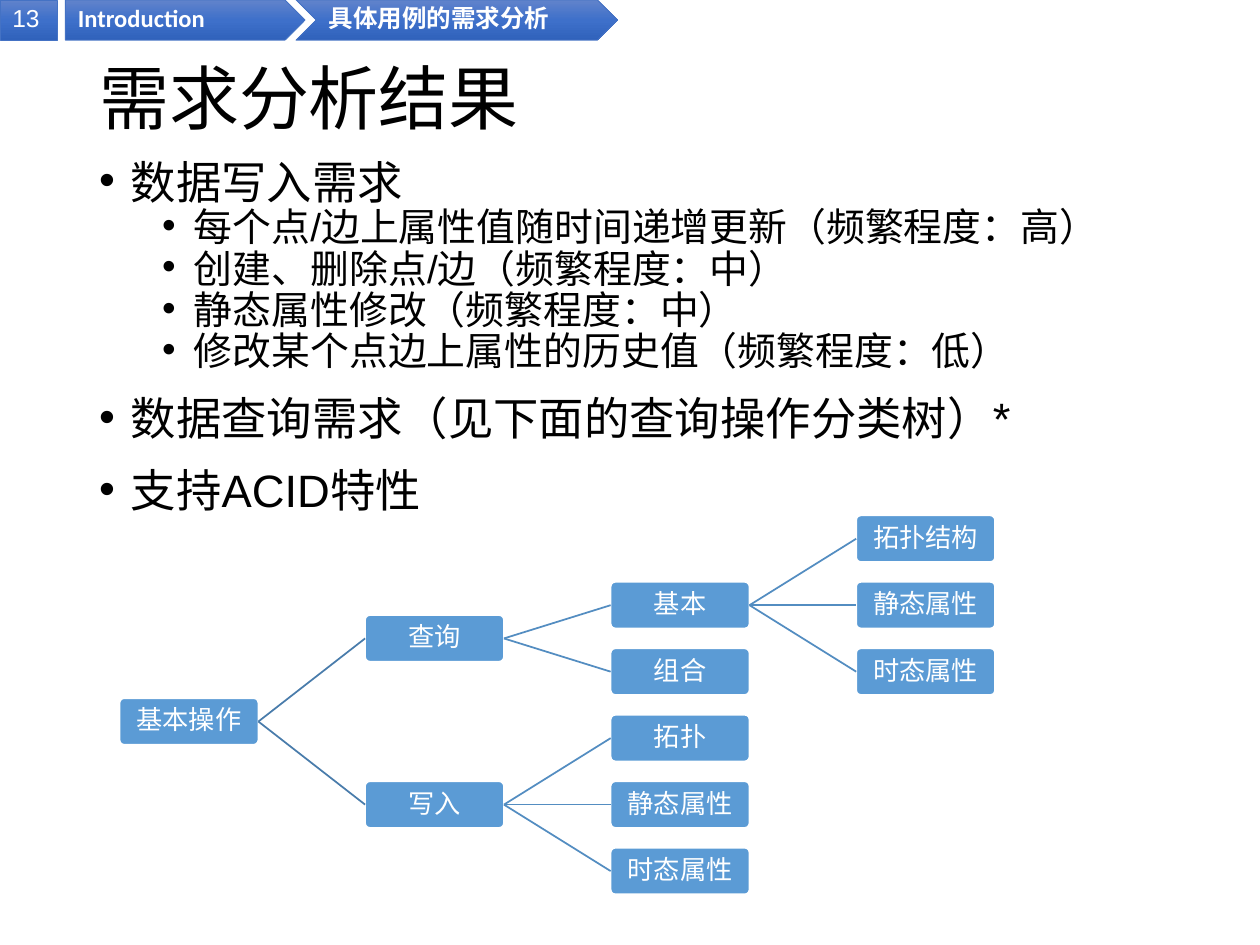
from copy import deepcopy

from lxml import etree
from pptx import Presentation
from pptx import util as u
from pptx.dml.color import RGBColor
from pptx.enum import shapes, text
from pptx.oxml.ns import qn

KIND = shapes.MSO_SHAPE
MID = text.MSO_ANCHOR.MIDDLE
LEFT, CENTER = text.PP_ALIGN.LEFT, text.PP_ALIGN.CENTER

TABS = [  # shape, left, width, label, font, size, bold
    (KIND.RECTANGLE, 0, 1.15, "13", "Arial", 14, False),
    (KIND.PENTAGON, 1.32, 4.83, "Introduction", "Calibri", 14, True),
    (KIND.CHEVRON, 5.97, 6.48, "具体用例的需求分析", "Calibri", 14, True),
]
POINTS = [  # level, wording
    (0, "数据写入需求"),
    (1, "每个点/边上属性值随时间递增更新（频繁程度：高）"),
    (1, "创建、删除点/边（频繁程度：中）"),
    (1, "静态属性修改（频繁程度：中）"),
    (1, "修改某个点边上属性的历史值（频繁程度：低）"),
    (0, "数据查询需求（见下面的查询操作分类树）*"),
    (0, "支持ACID特性"),
]
# A node is (label, children); a leaf is (label, row).
TREE = ("基本操作", [
    ("查询", [
        ("基本", [("拓扑结构", 0), ("静态属性", 1), ("时态属性", 2)]),
        ("组合", 2),
    ]),
    ("写入", [("拓扑", 3), ("静态属性", 4), ("时态属性", 5)]),
])


def color(code):
    return RGBColor.from_string(code)


def write(para, words, font, size, code, bold=False):
    run = para.add_run()
    run.text = words
    run.font.name = font
    run.font.size = u.Pt(size)
    run.font.bold = bold
    run.font.color.rgb = color(code)


def shade(shape, codes):
    """Fill from top to bottom with evenly spaced colours."""
    shape.fill.gradient()
    shape.fill.gradient_angle = 270
    stops = shape._element.spPr.find(qn("a:gradFill")).find(qn("a:gsLst"))
    stops.insert(1, deepcopy(stops[0]))
    for i, (stop, code) in enumerate(zip(shape.fill.gradient_stops, codes)):
        stop.position = i / (len(codes) - 1)
        stop.color.rgb = color(code)


def banner(slide, left, top, high):
    for kind, x, wide, words, font, size, bold in TABS:
        tab = slide.shapes.add_shape(
            kind, u.Cm(left + x), u.Cm(top), u.Cm(wide), u.Cm(high))
        tab.shadow.inherit = False
        shade(tab, ["6183CB", "3E70CA", "3062BB"])
        tab.line.color.rgb = color("4472C4")
        tab.line.width = u.Pt(0.5)
        frame = tab.text_frame
        frame.vertical_anchor = MID
        para = frame.paragraphs[0]
        para.alignment = LEFT
        para.line_spacing = 0.9
        write(para, words, font, size, "FFFFFF", bold)


def area(slide, left, top, wide, high):
    box = slide.shapes.add_textbox(
        u.Cm(left), u.Cm(top), u.Cm(wide), u.Cm(high))
    box.text_frame.word_wrap = True
    return box.text_frame


def title(slide, *box):
    frame = area(slide, *box)
    frame.vertical_anchor = MID
    para = frame.paragraphs[0]
    para.line_spacing = 0.9
    write(para, "需求分析结果", "Calibri", 40, "000000")


def bullet(para, level):
    para.level = level
    props = para._p.get_or_add_pPr()
    props.set("marL", str(u.Cm(0.64 + 1.27 * level)))
    props.set("indent", str(u.Cm(-0.64)))
    etree.SubElement(props, qn("a:buFont")).set("typeface", "Arial")
    etree.SubElement(props, qn("a:buChar")).set("char", "•")


def body(slide, *box):
    frame = area(slide, *box)
    for i, (level, words) in enumerate(POINTS):
        para = frame.add_paragraph() if i else frame.paragraphs[0]
        bullet(para, level)
        para.line_spacing = 0.7 if level or not i else 1.0
        if i:
            para.space_before = u.Pt(5 if level else 10)
        write(para, words, "Arial", 22.2 if level else 25.9, "000000")


def node(slide, words, left, mid, wide, high):
    box = slide.shapes.add_shape(
        KIND.ROUNDED_RECTANGLE, u.Cm(left), u.Cm(mid - high / 2),
        u.Cm(wide), u.Cm(high))
    box.adjustments[0] = 0.1
    box.shadow.inherit = False
    box.fill.solid()
    box.fill.fore_color.rgb = color("5B9BD5")
    box.line.color.rgb = color("FFFFFF")
    box.line.width = u.Pt(1)
    frame = box.text_frame
    frame.margin_left = frame.margin_right = u.Cm(0.05)
    frame.margin_top = frame.margin_bottom = u.Cm(0.05)
    frame.vertical_anchor = MID
    para = frame.paragraphs[0]
    para.alignment = CENTER
    para.line_spacing = 0.9
    write(para, words, "Arial", 15, "FFFFFF")
    return box


def link(slide, start, end, code):
    line = slide.shapes.add_connector(shapes.MSO_CONNECTOR.STRAIGHT, 0, 0, 0, 0)
    line.begin_connect(start, 3)
    line.end_connect(end, 1)
    line.line.color.rgb = color(code)
    line.line.width = u.Pt(1)
    etree.SubElement(line._element.spPr, qn("a:effectLst"))


def row(item):
    """A parent sits midway between its first and last child."""
    kids = item[1]
    if isinstance(kids, int):
        return kids
    return (row(kids[0]) + row(kids[-1])) / 2


def tree(slide, item, left, top, depth=0):
    """Draw a branch; left and top locate the whole tree."""
    wide, high, step, pitch = 2.8, 0.94, 4.95, 1.34
    words, kids = item
    box = node(slide, words, left + depth * step,
               top + high / 2 + row(item) * pitch, wide, high)
    if not isinstance(kids, int):
        for kid in kids:
            end = tree(slide, kid, left, top, depth + 1)
            link(slide, box, end, "538DC1" if depth else "497CAB")
    return box


def main():
    deck = Presentation()
    deck.slide_width, deck.slide_height = u.Cm(25.4), u.Cm(19.05)
    slide = deck.slides.add_slide(deck.slide_layouts[6])
    banner(slide, 0, 0, 0.81)
    title(slide, 1.75, 1.02, 21.9, 2.06)
    body(slide, 1.75, 3.28, 21.9, 7.65)
    tree(slide, TREE, 2.41, 10.39)
    deck.save("out.pptx")


if __name__ == "__main__":
    main()
